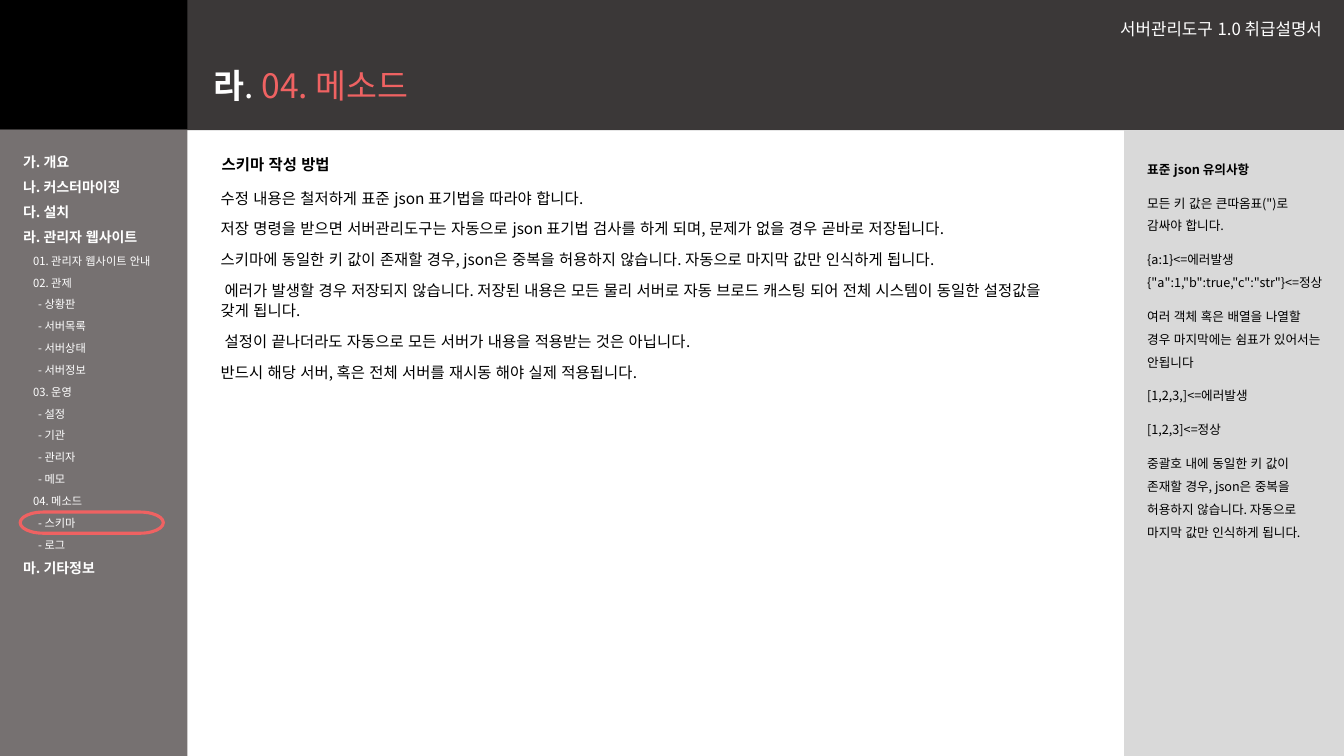
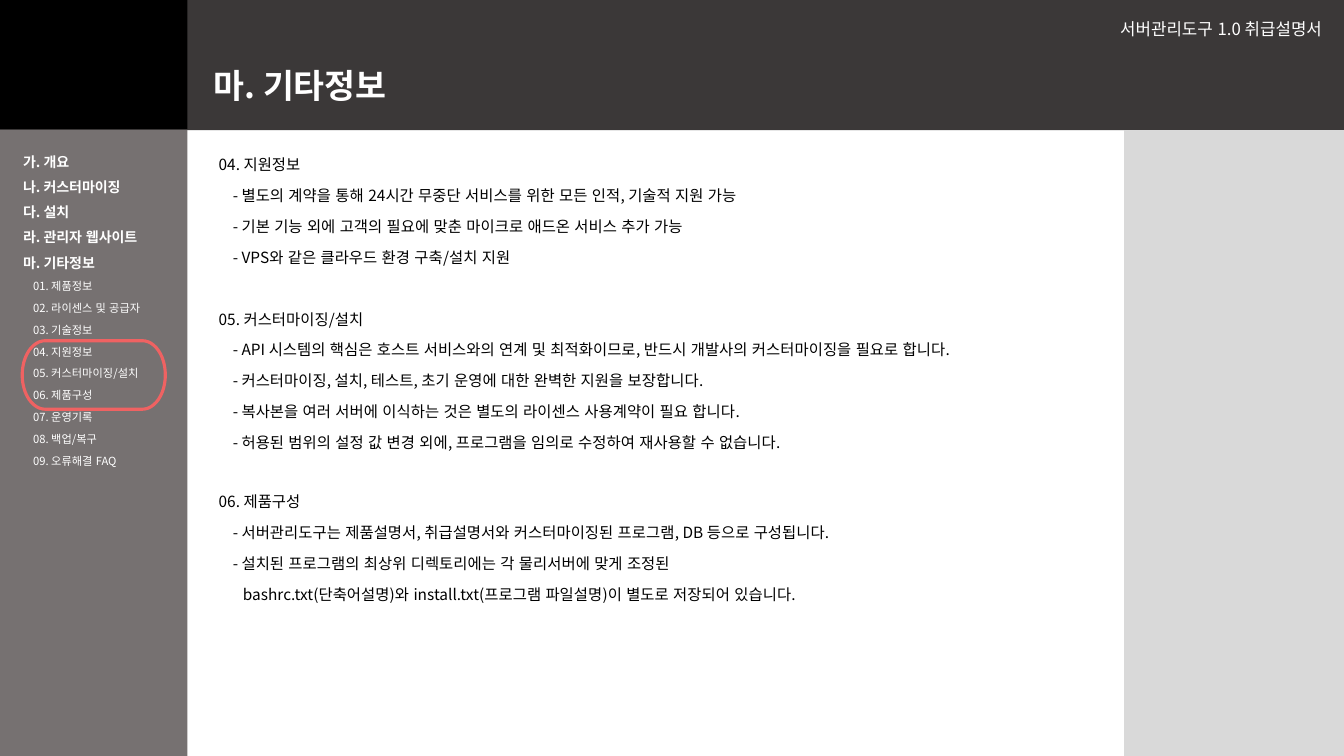
from pptx import Presentation
from pptx.dml.color import RGBColor
from pptx.enum.lang import MSO_LANGUAGE_ID
from pptx.enum.shapes import MSO_SHAPE
from pptx.enum.text import MSO_ANCHOR, PP_ALIGN
from pptx.oxml.ns import qn
from pptx.util import Inches, Pt

RECT, PILL = MSO_SHAPE.RECTANGLE, MSO_SHAPE.FLOWCHART_TERMINATOR
TOP, MIDDLE = MSO_ANCHOR.TOP, MSO_ANCHOR.MIDDLE
LEFT, RIGHT = PP_ALIGN.LEFT, PP_ALIGN.RIGHT
KOREAN = MSO_LANGUAGE_ID.KOREAN

FONT = "Noto Sans CJK KR"
BLACK, WHITE, RED = "000000", "FFFFFF", "EF6262"
DARK, GRAY, PALE = "3B3838", "767171", "D9D9D9"

# Page grid
WIDE, HIGH = 13.33, 7.5
HEAD, NAV, SIDE = 1.29, 1.86, 11.15

# Menu levels: indent, size, bold
LEVELS = [(0, 10, True), (0.1, 8, False), (0.15, 8, False)]

# Menu entries: level, text
CHAPTERS = [(0, "가. 개요"), (0, "나. 커스터마이징"), (0, "다. 설치"),
            (0, "라. 관리자 웹사이트")]
LAST = (0, "마. 기타정보")
ADMIN = [
    (1, "01. 관리자 웹사이트 안내"),
    (1, "02. 관제"),
    (2, "- 상황판"), (2, "- 서버목록"), (2, "- 서버상태"), (2, "- 서버정보"),
    (1, "03. 운영"),
    (2, "- 설정"), (2, "- 기관"), (2, "- 관리자"), (2, "- 메모"),
    (1, "04. 메소드"),
    (2, "- 스키마"), (2, "- 로그"),
]
EXTRAS = [(1, name) for name in (
    "01. 제품정보", "02. 라이센스 및 공급자", "03. 기술정보", "04. 지원정보",
    "05. 커스터마이징/설치", "06. 제품구성", "07. 운영기록", "08. 백업/복구",
    "09. 오류해결 FAQ")]

# Body text: indent, text
SCHEMA = [
    (0, "수정 내용은 철저하게 표준 json 표기법을 따라야 합니다."),
    (0, "저장 명령을 받으면 서버관리도구는 자동으로 json 표기법 검사를 하게 되며, "
        "문제가 없을 경우 곧바로 저장됩니다."),
    (0, "스키마에 동일한 키 값이 존재할 경우, json은 중복을 허용하지 않습니다. "
        "자동으로 마지막 값만 인식하게 됩니다."),
    (0.04, "에러가 발생할 경우 저장되지 않습니다. 저장된 내용은 모든 물리 서버로 자동 "
           "브로드 캐스팅 되어 전체 시스템이 동일한 설정값을 갖게 됩니다."),
    (0.04, "설정이 끝나더라도 자동으로 모든 서버가 내용을 적용받는 것은 아닙니다."),
    (0, "반드시 해당 서버, 혹은 전체 서버를 재시동 해야 실제 적용됩니다."),
]
NOTES = [
    "표준 json 유의사항",
    "모든 키 값은 큰따옴표(\")로 감싸야 합니다.",
    "{a:1}<=에러발생 {\"a\":1,\"b\":true,\"c\":\"str\"}<=정상",
    "여러 객체 혹은 배열을 나열할 경우 마지막에는 쉼표가 있어서는 안됩니다",
    "[1,2,3,]<=에러발생",
    "[1,2,3]<=정상",
    "중괄호 내에 동일한 키 값이 존재할 경우, json은 중복을 허용하지 않습니다. "
    "자동으로 마지막 값만 인식하게 됩니다.",
]
DASH, DEEP = 0.14, 0.24
TOPICS = [
    (1.48, [
        (0, "04. 지원정보"),
        (DASH, "- 별도의 계약을 통해 24시간 무중단 서비스를 위한 모든 인적, 기술적 지원 가능"),
        (DASH, "- 기본 기능 외에 고객의 필요에 맞춘 마이크로 애드온 서비스 추가 가능"),
        (DASH, "- VPS와 같은 클라우드 환경 구축/설치 지원"),
    ]),
    (3.01, [
        (0, "05. 커스터마이징/설치"),
        (DASH, "- API 시스템의 핵심은 호스트 서비스와의 연계 및 최적화이므로, "
               "반드시 개발사의 커스터마이징을 필요로 합니다."),
        (DASH, "- 커스터마이징, 설치, 테스트, 초기 운영에 대한 완벽한 지원을 보장합니다."),
        (DASH, "- 복사본을 여러 서버에 이식하는 것은 별도의 라이센스 사용계약이 필요 합니다."),
        (DASH, "- 허용된 범위의 설정 값 변경 외에, 프로그램을 임의로 수정하여 재사용할 수 없습니다."),
    ]),
    (4.82, [
        (0, "06. 제품구성"),
        (DASH, "- 서버관리도구는 제품설명서, 취급설명서와 커스터마이징된 프로그램, "
               "DB 등으로 구성됩니다."),
        (DASH, "- 설치된 프로그램의 최상위 디렉토리에는 각 물리서버에 맞게 조정된"),
        (DEEP, "bashrc.txt(단축어설명)와 install.txt(프로그램 파일설명)이 별도로 저장되어 있습니다."),
    ]),
]


def rgb(code):
    return RGBColor.from_string(code)


def add_band(slide, x, y, w, h, fill):
    band = slide.shapes.add_shape(RECT, *map(Inches, (x, y, w, h)))
    band.shadow.inherit = False
    band.fill.solid()
    band.fill.fore_color.rgb = rgb(fill)
    band.line.fill.background()


def add_ring(slide, x, y, w, h):
    ring = slide.shapes.add_shape(PILL, *map(Inches, (x, y, w, h)))
    ring.shadow.inherit = False
    ring.fill.background()
    ring.line.color.rgb = rgb(RED)
    ring.line.width = Pt(2.25)


def add_box(slide, x, y, w, h, anchor=TOP):
    frame = slide.shapes.add_textbox(*map(Inches, (x, y, w, h))).text_frame
    frame.word_wrap = True
    frame.vertical_anchor = anchor
    return frame


def add_para(frame, first, indent=0, space=1.0, before=0, after=0, align=LEFT):
    para = frame.paragraphs[0] if first else frame.add_paragraph()
    props = para._p.get_or_add_pPr()
    props.set("marL", "0")
    props.set("indent", str(Inches(indent)))
    para.alignment = align
    para.line_spacing = space
    para.space_before = Pt(0 if first else before)
    para.space_after = Pt(after)
    return para


def add_run(para, text, size, color=BLACK, bold=False):
    run = para.add_run()
    run.text = text
    font = run.font
    font.size, font.bold, font.name = Pt(size), bold, FONT
    font.language_id = KOREAN
    font.color.rgb = rgb(color)
    east = run._r.get_or_add_rPr().makeelement(qn("a:ea"), {"typeface": FONT})
    run._r.rPr.find(qn("a:latin")).addnext(east)


def add_menu(slide, rows):
    frame = add_box(slide, 0.13, 1.47, 1.65, 5.08)
    for i, (level, text) in enumerate(rows):
        indent, size, bold = LEVELS[level]
        para = add_para(frame, i == 0, indent, before=6)
        add_run(para, text, size, WHITE, bold)


def add_body(slide, x, y, w, h, rows, bold=False):
    frame = add_box(slide, x, y, w, h)
    for i, (indent, text) in enumerate(rows):
        para = add_para(frame, i == 0, indent, space=1.07, after=8)
        add_run(para, text, 11, bold=bold)


def add_notes(slide, rows):
    frame = add_box(slide, 11.28, 1.48, 1.95, 4.27)
    for i, text in enumerate(rows):
        para = add_para(frame, i == 0, space=1.5, after=8)
        add_run(para, text, 9, bold=i == 0)


def add_page(deck, title, menu):
    slide = deck.slides.add_slide(deck.slide_layouts[6])
    # Bands
    add_band(slide, 0, 0, WIDE, HEAD, DARK)
    add_band(slide, 0, HEAD, NAV, HIGH - HEAD, GRAY)
    add_band(slide, SIDE, HEAD, WIDE - SIDE, HIGH - HEAD, PALE)
    add_band(slide, 0, 0, NAV, 1.28, BLACK)
    # Title
    para = add_para(add_box(slide, 2.02, 0.54, 11.31, 0.65, MIDDLE), True, space=0.9)
    for text, color, bold in title:
        add_run(para, text, 24, color, bold)
    # Manual name
    para = add_para(add_box(slide, 9.36, 0.14, 3.85, 0.31, MIDDLE), True,
                    space=0.9, align=RIGHT)
    add_run(para, "서버관리도구 1.0 취급설명서", 12, WHITE)
    add_menu(slide, menu)
    return slide


def main():
    deck = Presentation()
    deck.slide_width, deck.slide_height = Inches(WIDE), Inches(HIGH)

    # Schema page
    title = [("라", WHITE, True), (". ", WHITE, False), ("04. 메소드", RED, False)]
    slide = add_page(deck, title, CHAPTERS + ADMIN + [LAST])
    add_ring(slide, 0.2, 5.08, 1.42, 0.21)
    add_body(slide, 2.1, 1.48, 8.97, 0.33, [(0, "스키마 작성 방법")], bold=True)
    add_body(slide, 2.09, 1.81, 8.45, 2.33, SCHEMA)
    add_notes(slide, NOTES)

    # Other information page
    slide = add_page(deck, [(LAST[1], WHITE, True)], CHAPTERS + [LAST] + EXTRAS)
    add_ring(slide, 0.22, 3.38, 1.42, 0.68)
    for top, rows in TOPICS:
        add_body(slide, 2.07, top, 8.79, 0.31 * len(rows), rows)

    deck.save("out.pptx")


if __name__ == "__main__":
    main()
